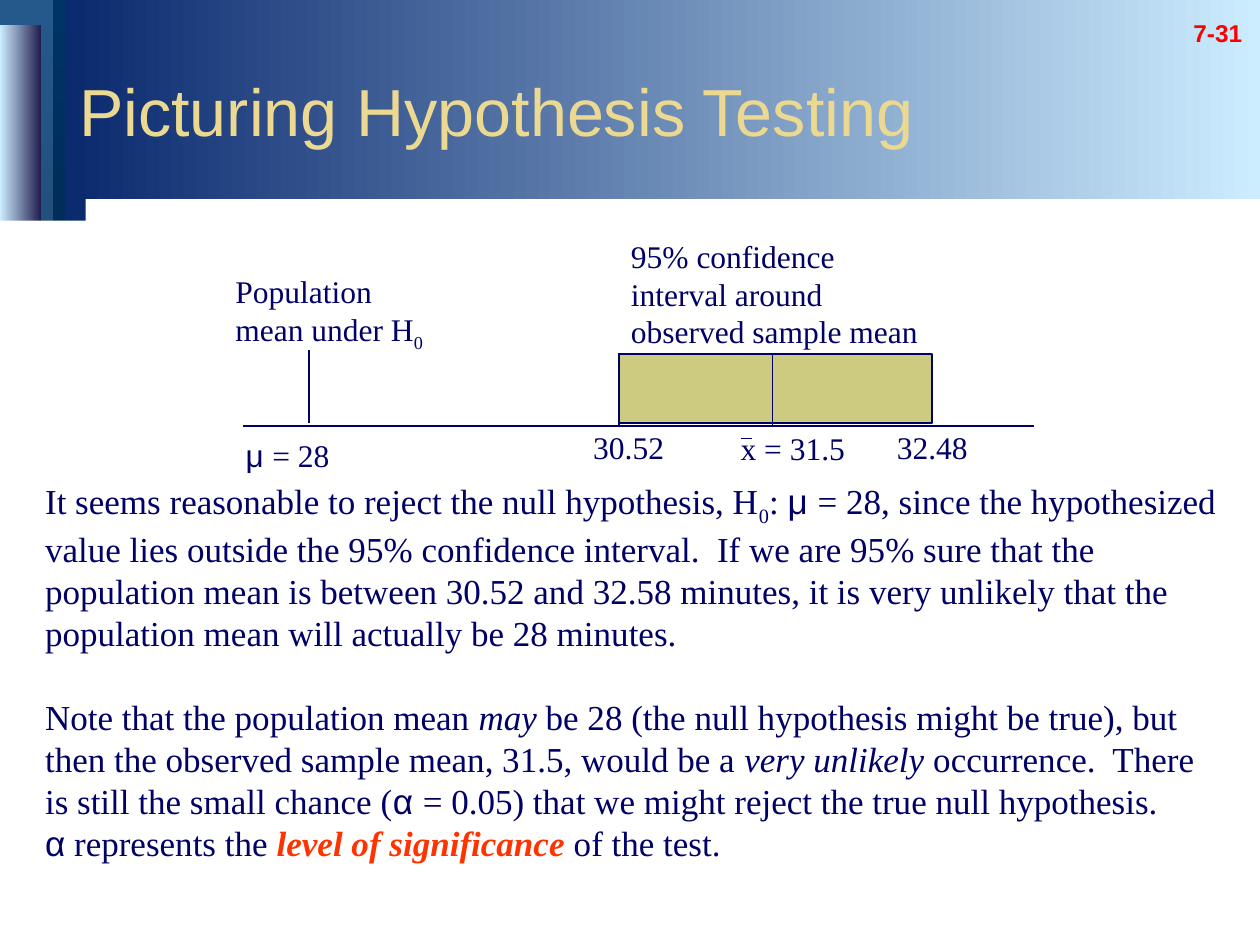
from lxml import etree
from pptx import Presentation
from pptx.dml.color import RGBColor
from pptx.enum.shapes import MSO_CONNECTOR, MSO_SHAPE
from pptx.enum.text import MSO_ANCHOR, PP_ALIGN
from pptx.oxml.ns import qn
from pptx.util import Inches, Pt

RECTANGLE = MSO_SHAPE.RECTANGLE
STRAIGHT = MSO_CONNECTOR.STRAIGHT
MIDDLE = MSO_ANCHOR.MIDDLE
LEFT, CENTER = PP_ALIGN.LEFT, PP_ALIGN.CENTER

NAVY = RGBColor(0x00, 0x00, 0x66)
DEEP_BLUE = RGBColor(0x00, 0x33, 0x66)
BANNER_BLUE = RGBColor(0x00, 0x1F, 0x66)
SKY = RGBColor(0xCC, 0xEC, 0xFF)
MIDNIGHT = RGBColor(0x00, 0x17, 0x2F)
STEEL = RGBColor(0x25, 0x59, 0x8B)
SLATE = RGBColor(0x17, 0x2F, 0x46)
INDIGO = RGBColor(0x1E, 0x1B, 0x4B)
WHITE = RGBColor(0xFF, 0xFF, 0xFF)
OLIVE = RGBColor(0xCD, 0xCB, 0x7F)
GOLD = RGBColor(0xEB, 0xD8, 0x91)
RED = RGBColor(0xFF, 0x00, 0x00)
ORANGE = RGBColor(0xFF, 0x33, 0x00)

SERIF, SANS = "Times New Roman", "Arial"

deck = Presentation()
deck.slide_width, deck.slide_height = Inches(10), Inches(7.5)
COL = deck.slide_width / 100
ROW = deck.slide_height / 75
slide = deck.slides.add_slide(deck.slide_layouts[6])
slide.background.fill.solid()
slide.background.fill.fore_color.rgb = DEEP_BLUE


def add_block(col, row, cols, rows, colors, angle=0):
    block = slide.shapes.add_shape(
        RECTANGLE, int(col * COL), int(row * ROW), int(cols * COL), int(rows * ROW))
    block.shadow.inherit = False
    block.line.fill.background()
    if len(colors) == 1:
        block.fill.solid()
        block.fill.fore_color.rgb = colors[0]
    else:
        block.fill.gradient()
        block.fill.gradient_angle = angle
        for stop, color in zip(block.fill.gradient_stops, colors):
            stop.color.rgb = color
    return block


def add_text(col, row, cols, rows, paragraphs, size, font=SERIF, color=NAVY, wrap=True):
    frame = slide.shapes.add_textbox(
        int(col * COL), int(row * ROW), int(cols * COL), int(rows * ROW)).text_frame
    frame.word_wrap = wrap
    for index, runs in enumerate(paragraphs):
        paragraph = frame.add_paragraph() if index else frame.paragraphs[0]
        paragraph.alignment = LEFT
        paragraph.font.size = Pt(size)
        paragraph.font.color.rgb = color
        if all(style != "greek" for _, style in runs):
            paragraph.font.name = font
        for words, style in runs:
            run = paragraph.add_run()
            run.text = words
            if paragraph.font.name is None:
                run.font.name = SANS if style == "greek" else font
            if style == "sub":
                run.font._element.set("baseline", "-25000")
            if style in ("italic", "key"):
                run.font.italic = True
            if style == "key":
                run.font.bold = True
                run.font.color.rgb = ORANGE
    return frame


for block in [
    (0, 0, 100, 17.5, [SKY, BANNER_BLUE], 180),
    (0, 0, 5.2, 75, [DEEP_BLUE, MIDNIGHT], 270),
    (0, 0, 4.2, 75, [STEEL, SLATE], 270),
    (0, 2, 3.3, 70.5, [INDIGO, SKY], 180),
    (6.8, 15.8, 93.2, 54.9, [WHITE]),
    (0, 17.5, 100, 57.5, [WHITE]),
]:
    add_block(*block)

page = add_text(92.9, -1.3, 7.5, 5.6, [[("7-31", "sub")]], 24, SANS, RED).paragraphs[0]
page.alignment = CENTER
page.font.bold = True

title = add_text(5.3, 2.5, 92.7, 12.5, [[("Picturing Hypothesis Testing", "")]], 38, SANS, GOLD)
title.vertical_anchor = MIDDLE

AXIS = 33.8
LOWER, MEAN, UPPER, NULL_MEAN = 49.1, 61.3, 74, 24.5
interval = add_block(LOWER, 28.1, UPPER - LOWER, 5.5, [OLIVE])
interval.line.color.rgb = NAVY
interval.line.width = Pt(1)

for x1, y1, x2, y2 in [
    (19.3, AXIS, 82.1, AXIS),
    (LOWER, AXIS, LOWER, 28),
    (MEAN, AXIS, MEAN, 28),
    (NULL_MEAN, 33.6, NULL_MEAN, 27.8),
    (58.8, 34.8, 59.7, 34.8),
]:
    stroke = slide.shapes.add_connector(
        STRAIGHT, int(x1 * COL), int(y1 * ROW), int(x2 * COL), int(y2 * ROW))
    stroke.line.color.rgb = NAVY
    stroke.line.width = Pt(1)
    etree.SubElement(stroke._element.spPr, qn("a:effectLst"))

for col, row, cols, runs in [
    (18.5, 34.1, 9.2, [("μ ", "greek"), ("= 28", "")]),
    (70.2, 33.5, 7.6, [("32.48", "")]),
    (46.1, 33.5, 7.6, [("30.52", "")]),
    (57.8, 33.6, 10.3, [("x = 31.5", "")]),
]:
    add_text(col, row, cols, 4, [runs], 18, wrap=False)

add_text(17.7, 21.1, 17.2, 7.4, [[("Population mean under H", ""), ("0", "sub")]], 18)
add_text(LOWER, 18.3, 26, 10,
         [[("95% confidence interval around observed sample mean", "")]], 18)

conclusion = add_text(2.6, 37.6, 95, 31.4, [
    [("It seems reasonable to reject the null hypothesis, H", ""), ("0", "sub"), (": ", ""),
     ("μ ", "greek"),
     ("= 28, since the hypothesized value lies outside the 95% confidence interval.  "
      "If we are 95% sure that the population mean is between 30.52 and 32.58 minutes, "
      "it is very unlikely that the population mean will actually be 28 minutes.", "")],
    [("Note that the population mean ", ""), ("may", "italic"),
     (" be 28 (the null hypothesis might be true), but then the observed sample mean, "
      "31.5, would be a ", ""), ("very unlikely ", "italic"),
     ("occurrence.  There is still the small chance (", ""), ("α ", "greek"),
     ("= 0.05) that we might reject the true null hypothesis.", "")],
    [("α", "greek"), (" represents the ", ""), ("level of significance ", "key"),
     ("of the test.", "")],
], 20)
conclusion.paragraphs[1].space_before = Pt(24)

deck.save("out.pptx")
